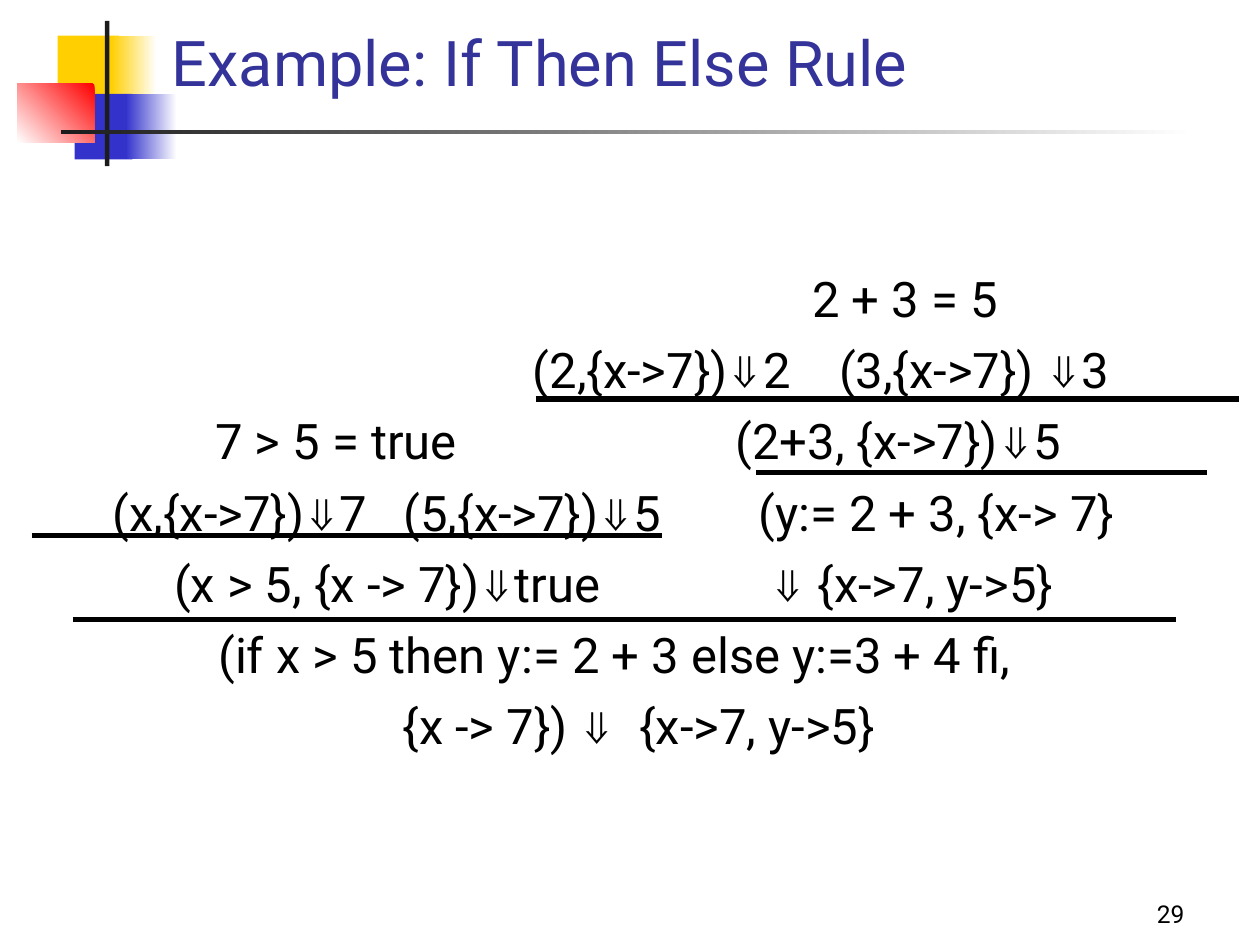
from lxml import etree
from pptx import Presentation
from pptx.dml.color import RGBColor
from pptx.enum import shapes as sh, text as tx
from pptx.oxml.ns import qn
from pptx.util import Pt


def paint(color, code):
    color.rgb = RGBColor.from_string(code)


def write(par, words, size, code):
    for i, part in enumerate(words.split("⇓")):
        for face, bit in (("Arial", "⇓" if i else ""), ("Roboto", part)):
            if bit:
                run = par.add_run()
                run.text = bit
                run.font.name = face
                run.font.size = Pt(size)
                paint(run.font.color, code)


deck = Presentation()
deck.slide_width, deck.slide_height = Pt(720), Pt(540)
slide = deck.slides.add_slide(deck.slide_layouts[1])

blocks = [
    (33, 20.3, 35, 37.5, ["FFCF01"], 0),
    (63.5, 20.3, 26, 37.5, ["FFFFFF", "FFCF01"], 180),
    (42.7, 53.6, 33, 37.5, ["3333CC"], 0),
    (72, 53.6, 29, 37.5, ["FFFFFF", "3333CC"], 180),
    (10, 48, 44, 33.5, ["FF0000", "FFFFFF"], 225),
    (60, 12, 2.5, 83, ["1C1C1C"], 0),
    (35, 74.2, 648, 2.5, ["FFFFFF", "1C1C1C"], 180),
]
for x, y, w, h, codes, angle in blocks:
    box = slide.shapes.add_shape(sh.MSO_SHAPE.RECTANGLE, Pt(x), Pt(y), Pt(w), Pt(h))
    box.shadow.inherit = False
    box.line.fill.background()
    if len(codes) == 1:
        box.fill.solid()
        paint(box.fill.fore_color, codes[0])
    else:
        box.fill.gradient()
        box.fill.gradient_angle = angle
        for stop, code in zip(box.fill.gradient_stops, codes):
            paint(stop.color, code)

page = slide.shapes.add_textbox(Pt(534), Pt(498), Pt(150), Pt(36)).text_frame
page.word_wrap = True
page.vertical_anchor = tx.MSO_ANCHOR.BOTTOM
page.paragraphs[0].alignment = tx.PP_ALIGN.RIGHT
write(page.paragraphs[0], "29", 14, "000000")

title = slide.shapes.title
title.left, title.top, title.width, title.height = Pt(91), Pt(13), Pt(613), Pt(47.5)
head = title.text_frame
head.auto_size = tx.MSO_AUTO_SIZE.NONE
head.vertical_anchor = tx.MSO_ANCHOR.BOTTOM
head.paragraphs[0].alignment = tx.PP_ALIGN.LEFT
write(head.paragraphs[0], "Example: If Then Else Rule", 36, "333399")

body = slide.placeholders[1]
body.left, body.top, body.width, body.height = Pt(0), Pt(150), Pt(702), Pt(366)
proof = body.text_frame
proof.auto_size = tx.MSO_AUTO_SIZE.NONE
proof.margin_left = proof.margin_right = 0

rows = [
    (464, ["2 + 3 = 5"], []),
    (304.5, ["(2,{x->7})⇓2", "(3,{x->7}) ⇓3"], [20.8]),
    (123, ["7 > 5 = true", "(2+3, {x->7})⇓5"], [152.5]),
    (64.5, ["(x,{x->7})⇓7", "(5,{x->7})⇓5", "(y:= 2 + 3, {x-> 7}"], [13.9, 48.5]),
    (99.5, ["(x > 5, {x -> 7})⇓true", "⇓ {x->7, y->5}"], [90.1]),
    (0, ["(if x > 5 then y:= 2 + 3 else y:=3 + 4 fi,"], []),
    (230, ["{x -> 7}) ⇓", "{x->7, y->5}"], [6.9]),
]
for i, (left, parts, gaps) in enumerate(rows):
    par = proof.add_paragraph() if i else proof.paragraphs[0]
    par.alignment = tx.PP_ALIGN.LEFT if left else tx.PP_ALIGN.CENTER
    par.space_before = Pt(7)
    props = par._p.get_or_add_pPr()
    props.set("marL", str(int(Pt(left))))
    props.set("indent", "0")
    etree.SubElement(props, qn("a:buNone"))
    for part, gap in zip(parts, gaps + [0]):
        write(par, part, 28, "000000")
        if gap:
            write(par, " ", 28, "000000")
            par.runs[-1].font._element.set("spc", str(round(gap * 100)))

bars = [(42, 672, 354), (18, 378, 306), (432, 690, 270), (306, 708, 228)]
for start, end, y in bars:
    bar = slide.shapes.add_connector(sh.MSO_CONNECTOR.STRAIGHT, Pt(start), Pt(y), Pt(end), Pt(y))
    bar.line.width = Pt(3)
    paint(bar.line.color, "000000")
    etree.SubElement(bar._element.spPr, qn("a:effectLst"))

deck.save("out.pptx")
